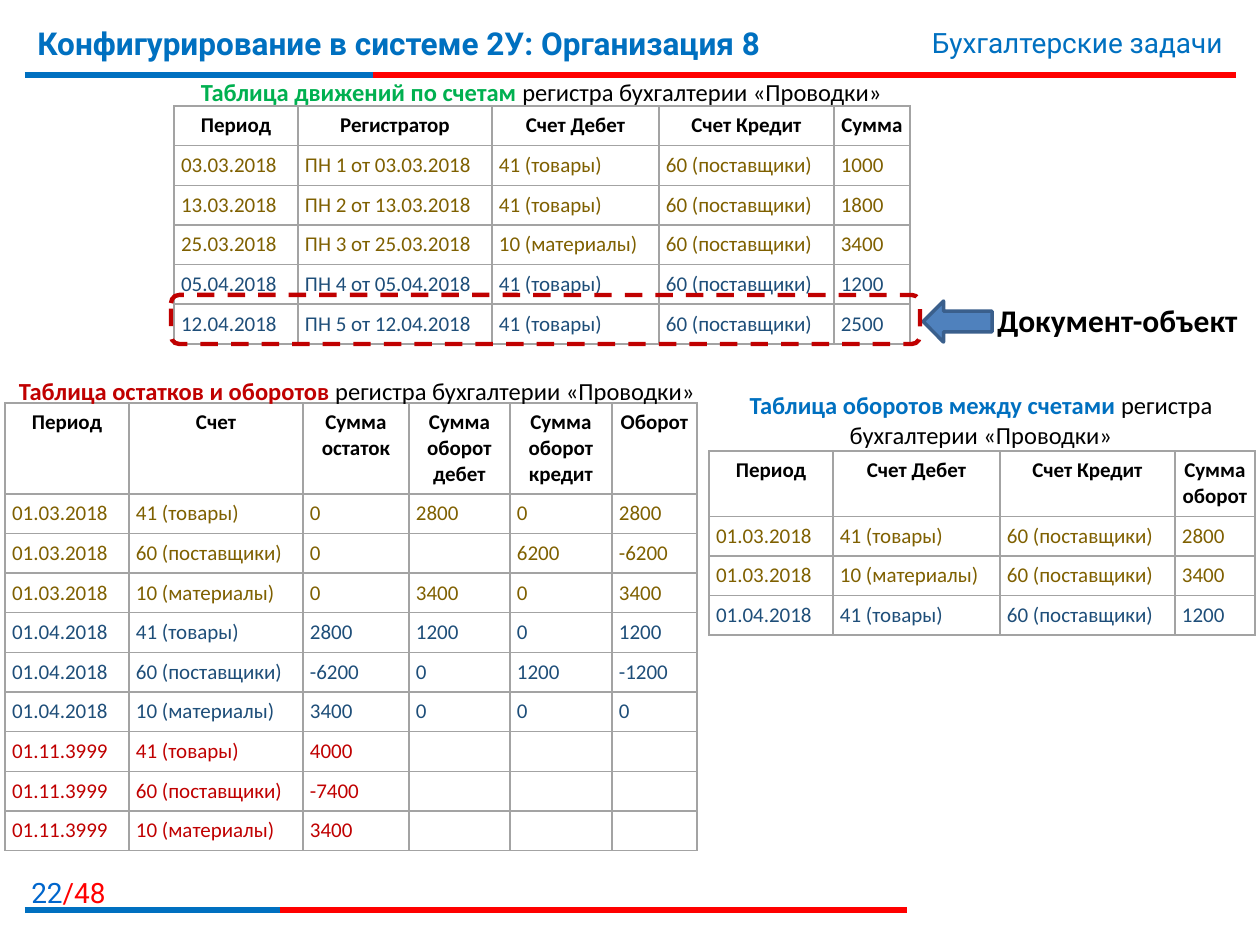
"""Builds the slide with the accounting register tables."""
from lxml import etree
from pptx import Presentation
from pptx.dml.color import RGBColor
from pptx.enum.dml import MSO_LINE
from pptx.enum.shapes import MSO_CONNECTOR, MSO_SHAPE
from pptx.enum.text import PP_ALIGN as AL
from pptx.oxml.ns import qn
from pptx.util import Emu, Pt

C = {"blue": "0070C0", "page": "0066CC", "red": "FF0000", "dark_red": "C00000",
     "green": "00B050", "black": "000000", "grid": "A3A3A3",
     "arrow": "4F81BD", "arrow_line": "3A5F8C"}
MONTH = {"03": "7F6000", "04": "1E4E79", "11": "C00000"}
SCALE = 914400 / 126
INSET, ROW = 7, 39


def px(*values):
    return [Emu(round(v * SCALE)) for v in values]


def write(tf, runs, size=12, font="Calibri", align=AL.LEFT):
    tf.word_wrap = True
    p = tf.paragraphs[0]
    p.alignment = align
    for text, color, bold in runs:
        r = p.add_run()
        r.text = text
        r.font.size = Pt(size)
        r.font.name = font
        r.font.bold = bold
        r.font.color.rgb = RGBColor.from_string(color)
    if not runs:
        etree.SubElement(p._p, qn("a:endParaRPr"), sz=str(size * 100))


prs = Presentation()
prs.slide_width, prs.slide_height = px(1260, 945)
s = prs.slides.add_slide(prs.slide_layouts[6])

for y, split, end in [(75, 373, 1236), (910, 280, 907)]:
    for x, color in [(end, "red"), (split, "blue")]:
        ln = s.shapes.add_connector(MSO_CONNECTOR.STRAIGHT, *px(25, y, x, y))
        ln.line.color.rgb = RGBColor.from_string(C[color])
        ln.line.width = Pt(3)
        etree.SubElement(ln._element.spPr, qn("a:effectLst"))

tables = [
    (709, 451, [124, 167, 175, 80], 65, [
        ["Период", "Счет Дебет", "Счет Кредит", "Сумма оборот"],
        ["01.03.2018", "41 (товары)", "60 (поставщики)", "2800"],
        ["01.03.2018", "10 (материалы)", "60 (поставщики)", "3400"],
        ["01.04.2018", "41 (товары)", "60 (поставщики)", "1200"]]),
    (5, 403, [124, 174, 106, 101, 102, 85], 90, [
        ["Период", "Счет", "Сумма остаток", "Сумма оборот дебет",
         "Сумма оборот кредит", "Оборот"],
        ["01.03.2018", "41 (товары)", "0", "2800", "0", "2800"],
        ["01.03.2018", "60 (поставщики)", "0", "", "6200", "-6200"],
        ["01.03.2018", "10 (материалы)", "0", "3400", "0", "3400"],
        ["01.04.2018", "41 (товары)", "2800", "1200", "0", "1200"],
        ["01.04.2018", "60 (поставщики)", "-6200", "0", "1200", "-1200"],
        ["01.04.2018", "10 (материалы)", "3400", "0", "0", "0"],
        ["01.11.3999", "41 (товары)", "4000", "", "", ""],
        ["01.11.3999", "60 (поставщики)", "-7400", "", "", ""],
        ["01.11.3999", "10 (материалы)", "3400", "", "", ""]]),
    (174, 106, [124, 194, 167, 175, 76], ROW, [
        ["Период", "Регистратор", "Счет Дебет", "Счет Кредит", "Сумма"],
        ["03.03.2018", "ПН 1 от 03.03.2018", "41 (товары)", "60 (поставщики)", "1000"],
        ["13.03.2018", "ПН 2 от 13.03.2018", "41 (товары)", "60 (поставщики)", "1800"],
        ["25.03.2018", "ПН 3 от 25.03.2018", "10 (материалы)", "60 (поставщики)", "3400"],
        ["05.04.2018", "ПН 4 от 05.04.2018", "41 (товары)", "60 (поставщики)", "1200"],
        ["12.04.2018", "ПН 5 от 12.04.2018", "41 (товары)", "60 (поставщики)", "2500"]]),
]
for x, y, widths, head, rows in tables:
    heights = [head] + [ROW] * (len(rows) - 1)
    tbl = s.shapes.add_table(len(rows), len(widths),
                             *px(x, y, sum(widths), sum(heights))).table
    tbl.first_row = tbl.horz_banding = False
    for col, w in zip(tbl.columns, px(*widths)):
        col.width = w
    for i, (row, h) in enumerate(zip(rows, px(*heights))):
        tbl.rows[i].height = h
        color = MONTH[row[0][3:5]] if i else C["black"]
        for j, text in enumerate(row):
            cell = tbl.cell(i, j)
            (cell.margin_left, cell.margin_top,
             cell.margin_right, cell.margin_bottom) = px(*[INSET] * 4)
            write(cell.text_frame, [(text, color, i == 0)] if text else [],
                  align=AL.LEFT if i else AL.CENTER)
            cell.fill.background()
            tcPr = cell._tc.get_or_add_tcPr()
            for n, side in enumerate("LRTB"):
                border = etree.Element(qn(f"a:ln{side}"), w=str(Pt(1)))
                fill = etree.SubElement(border, qn("a:solidFill"))
                etree.SubElement(fill, qn("a:srgbClr"), val=C["grid"])
                tcPr.insert(n, border)

arrow = s.shapes.add_shape(MSO_SHAPE.LEFT_ARROW, *px(923, 301, 69, 41))
arrow.fill.solid()
arrow.fill.fore_color.rgb = RGBColor.from_string(C["arrow"])
arrow.line.color.rgb = RGBColor.from_string(C["arrow_line"])
arrow.line.width = Pt(2)
frame = s.shapes.add_shape(MSO_SHAPE.ROUNDED_RECTANGLE, *px(171, 295, 749, 49))
frame.fill.background()
frame.line.color.rgb = RGBColor.from_string(C["dark_red"])
frame.line.width = Pt(2.5)
frame.line.dash_style = MSO_LINE.DASH
for sp in (arrow, frame):
    sp.shadow.inherit = False

register = ("регистра бухгалтерии «Проводки»", C["black"], False)
labels = [
    ((6, 869, 112, 40), [("22", C["page"], False), ("/48", C["red"], False)],
     16, "Roboto", AL.RIGHT),
    ((25, 18, 932, 54), [("Конфигурирование в системе 2У: Организация 8", C["blue"], True)],
     18, "Roboto", AL.LEFT),
    ((748, 19, 487, 47), [("Бухгалтерские задачи", C["blue"], False)],
     16, "Roboto", AL.RIGHT),
    ((175, 71, 733, 43), [("Таблица движений по счетам ", C["green"], True), register],
     14, "Calibri", AL.CENTER),
    ((5, 370, 704, 43), [("Таблица остатков и оборотов ", C["dark_red"], True), register],
     14, "Calibri", AL.CENTER),
    ((709, 384, 544, 73), [("Таблица оборотов между счетами ", C["blue"], True), register],
     14, "Calibri", AL.CENTER),
    ((985, 295, 275, 50), [("Документ-объект", C["black"], True)],
     18, "Calibri", AL.LEFT),
]
for box, runs, size, font, align in labels:
    sp = s.shapes.add_textbox(*px(*box))
    write(sp.text_frame, runs, size=size, font=font, align=align)

prs.save("out.pptx")
